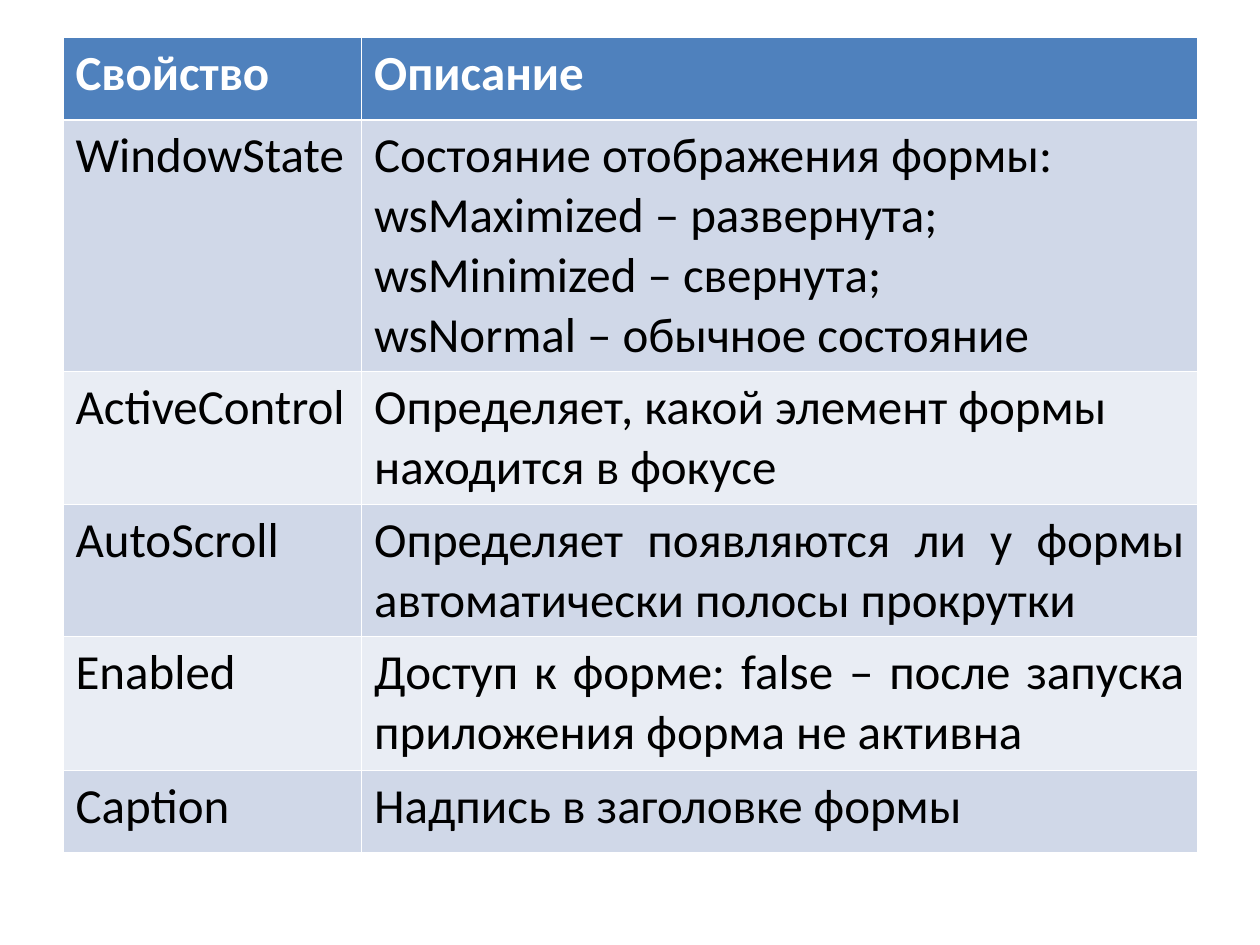
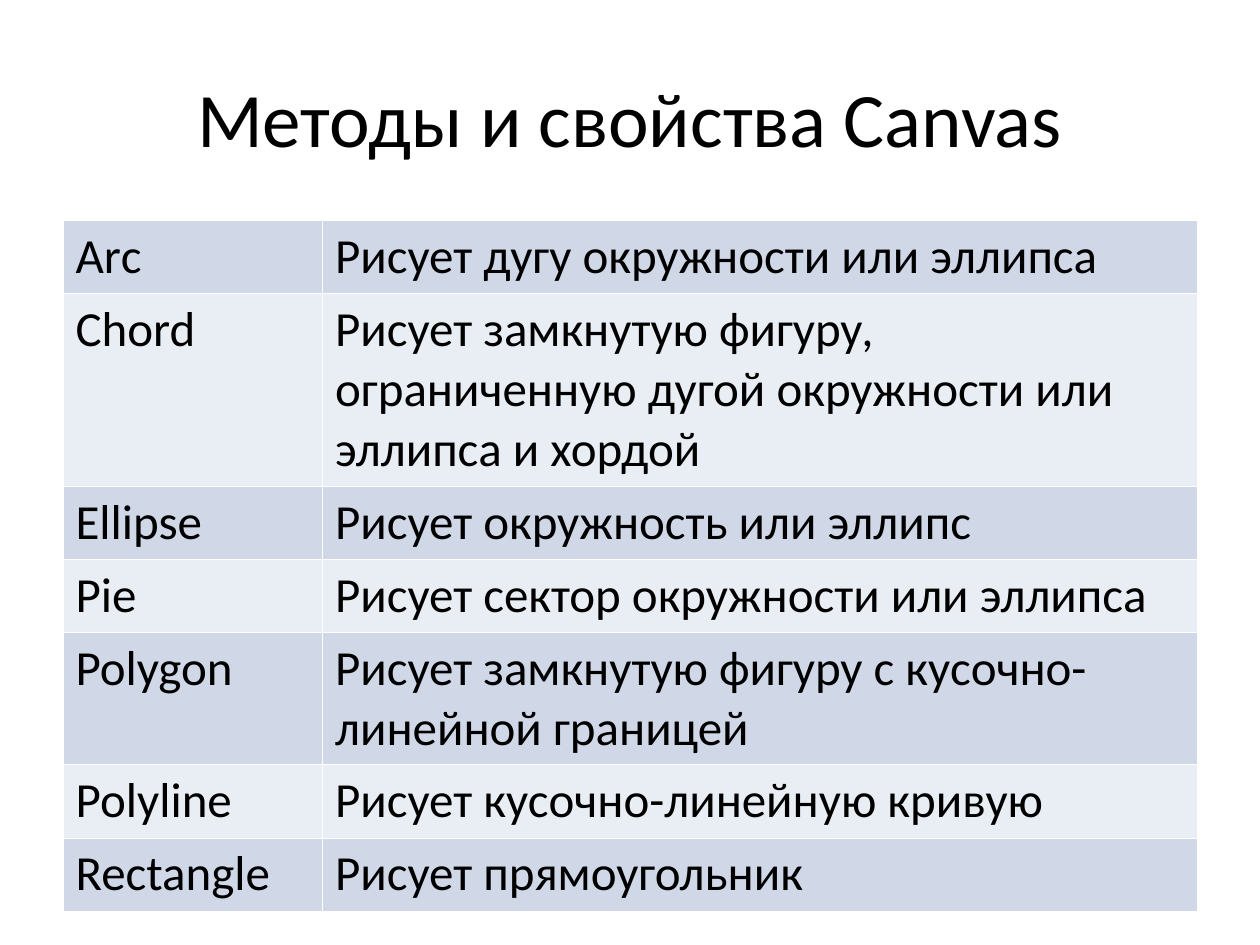
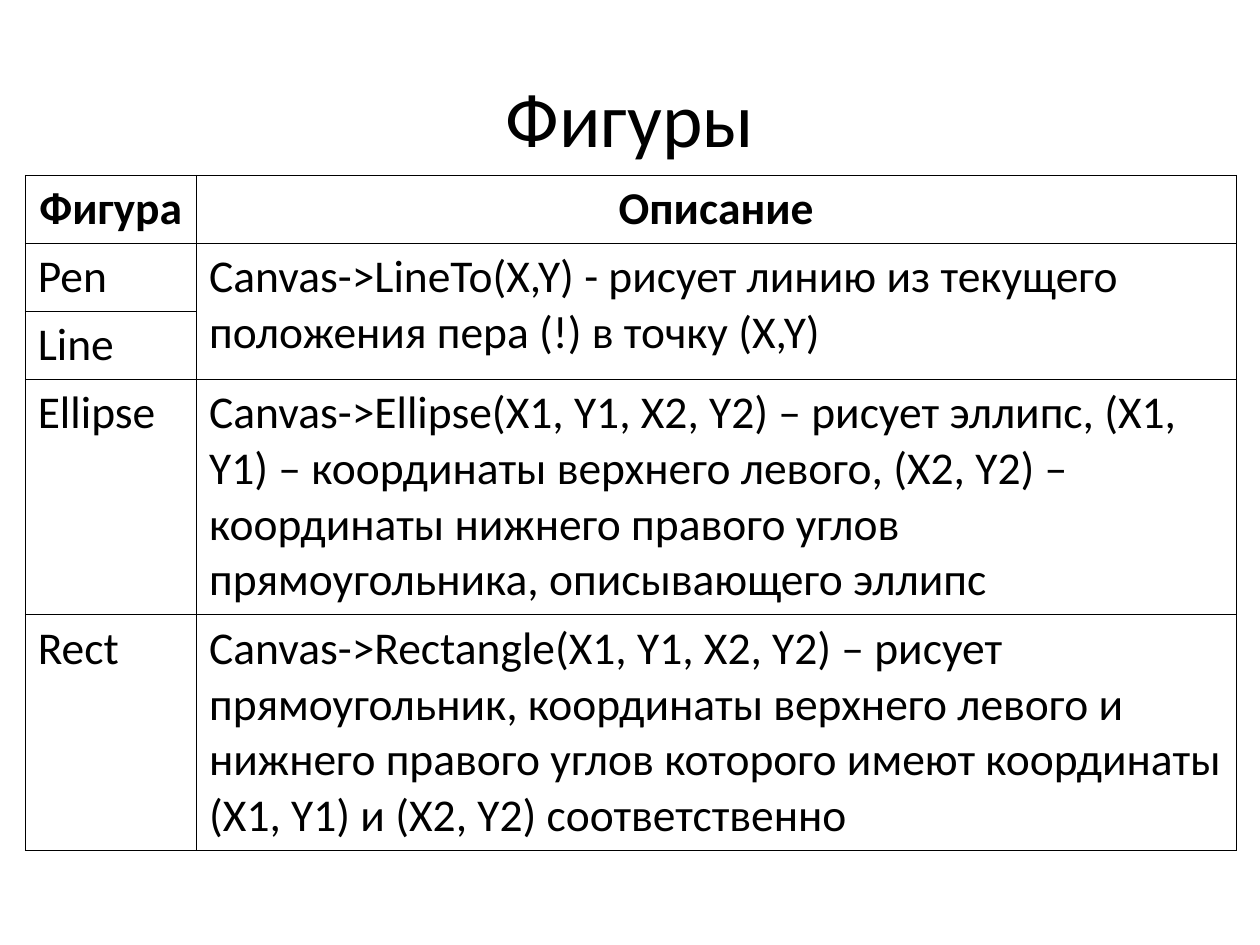
import pptx
import pptx.util
import pptx.dml.color
import pptx.enum.text
import pptx.oxml
import pptx.oxml.ns

Inches = pptx.util.Inches
Pt = pptx.util.Pt
ALIGN = pptx.enum.text.PP_ALIGN

FONT = "Calibri"
COLORS = {
    "text": "000000",
    "light": "FFFFFF",
    "header": "4F81BD",
    "band_dark": "D0D8E8",
    "band_light": "E9EDF4",
}
TITLE_BOX = (0.5, 0.3, 9, 1.25)
THIN, THICK = 0.45, 1.47

FORM_PROPERTIES = [
    (0.65, "Свойство", "Описание", ALIGN.LEFT),
    (2, "WindowState",
     "Cостояние отображения формы:\nwsMaximized – развернута;\n"
     "wsMinimized – свернута;\nwsNormal – обычное состояние", ALIGN.JUSTIFY),
    (1.05, "ActiveControl", "Определяет, какой элемент формы находится в фокусе", ALIGN.LEFT),
    (1.05, "AutoScroll",
     "Определяет появляются ли у формы автоматически полосы прокрутки", ALIGN.JUSTIFY),
    (1.06, "Enabled",
     "Доступ к форме: false – после запуска приложения форма не активна", ALIGN.JUSTIFY),
    (0.65, "Caption", "Надпись в заголовке формы", ALIGN.LEFT),
]
CANVAS_METHODS = [
    (0.58, "Аrс", "Рисует дугу окружности или эллипса", ALIGN.LEFT),
    (1.53, "Chord",
     "Рисует замкнутую фигуру, ограниченную дугой окружности или эллипса и хордой", ALIGN.LEFT),
    (0.58, "Ellipse", "Рисует окружность или эллипс", ALIGN.LEFT),
    (0.58, "Pie", "Рисует сектор окружности или эллипса", ALIGN.LEFT),
    (1.05, "Polygon", "Рисует замкнутую фигуру с кусочно-линейной границей", ALIGN.LEFT),
    (0.58, "Роlуlinе", "Рисует кусочно-линейнyю кривую", ALIGN.LEFT),
    (0.58, "Rectangle", "Рисует прямоугольник", ALIGN.LEFT),
]
FIGURES = [
    (0.54, "Фигура", "Описание", ALIGN.CENTER),
    (0.54, "Pen",
     "Canvas->LineTo(X,Y) - рисует линию из текущего положения пера (!) в точку (X,Y)", ALIGN.LEFT),
    (0.54, "Line", "", ALIGN.LEFT),
    (1.87, "Ellipse",
     "Canvas->Ellipse(X1, Y1, X2, Y2) – рисует эллипс, (X1, Y1) – координаты верхнего левого, "
     "(X2, Y2) – координаты нижнего правого углов прямоугольника, описывающего эллипс", ALIGN.LEFT),
    (1.87, "Rect",
     "Canvas->Rectangle(X1, Y1, X2, Y2) – рисует прямоугольник, координаты верхнего левого и "
     "нижнего правого углов которого имеют координаты (X1, Y1) и (X2, Y2) соответственно", ALIGN.LEFT),
]


def rgb(name):
    return pptx.dml.color.RGBColor.from_string(COLORS[name])


def set_text(tf, text, size, color="text", align=ALIGN.LEFT, bold=False):
    tf.text = text
    for p in tf.paragraphs:
        p.alignment = align
        for r in p.runs:
            r.font.name = FONT
            r.font.size = Pt(size)
            r.font.bold = bold
            r.font.color.rgb = rgb(color)


def set_borders(cell, color, top=THIN, bottom=THIN):
    tcPr = cell._tc.get_or_add_tcPr()
    for side, width in (("L", THIN), ("R", THIN), ("T", top), ("B", bottom)):
        tcPr.append(pptx.oxml.parse_xml(
            f'<a:ln{side} {pptx.oxml.ns.nsdecls("a")} w="{Pt(width)}"><a:solidFill>'
            f'<a:srgbClr val="{COLORS[color]}"/></a:solidFill></a:ln{side}>'))


def set_fill(cell, color):
    if color:
        cell.fill.solid()
        cell.fill.fore_color.rgb = rgb(color)
    else:
        cell.fill.background()


def add_title(slide, text, box=TITLE_BOX):
    sp = slide.shapes.add_textbox(*map(Inches, box))
    tf = sp.text_frame
    tf.word_wrap = True
    tf.vertical_anchor = pptx.enum.text.MSO_ANCHOR.MIDDLE
    set_text(tf, text, 44, align=ALIGN.CENTER)


def add_grid(slide, left, top, widths, rows, size, header=False, banded=True):
    height = sum(row[0] for row in rows)
    frame = slide.shapes.add_table(
        len(rows), len(widths), *map(Inches, (left, top, sum(widths), height)))
    table = frame.table
    table.first_row = header
    table.horz_banding = False
    for column, width in zip(table.columns, widths):
        column.width = Inches(width)
    for i, (row_height, name, description, align) in enumerate(rows):
        table.rows[i].height = Inches(row_height)
        is_header = header and i == 0
        fill = None
        if banded:
            body_index = i - header
            fill = "header" if is_header else ("band_dark", "band_light")[body_index % 2]
        color = "light" if is_header and banded else "text"
        name_align = ALIGN.CENTER if align == ALIGN.CENTER else ALIGN.LEFT
        for j, (text, text_align) in enumerate(((name, name_align), (description, align))):
            cell = table.cell(i, j)
            if text:
                set_text(cell.text_frame, text, size, color, text_align, is_header)
            set_borders(cell, "light" if banded else "text",
                        top=THICK if banded and header and i == 1 else THIN,
                        bottom=THICK if banded and is_header else THIN)
            set_fill(cell, fill)
    return table


def form_properties_slide(slide):
    add_grid(slide, 0.5, 0.3, (2.37, 6.63), FORM_PROPERTIES, 28, header=True)


def canvas_methods_slide(slide):
    add_title(slide, "Методы и свойства Canvas")
    add_grid(slide, 0.5, 1.75, (2.06, 6.94), CANVAS_METHODS, 28)


def figures_slide(slide):
    add_title(slide, "Фигуры")
    table = add_grid(slide, 0.2, 1.39, (1.36, 8.25), FIGURES, 26, header=True, banded=False)
    table.cell(1, 1).merge(table.cell(2, 1))


def main():
    prs = pptx.Presentation()
    prs.slide_width, prs.slide_height = Inches(10), Inches(7.5)
    for build in (form_properties_slide, canvas_methods_slide, figures_slide):
        build(prs.slides.add_slide(prs.slide_layouts[6]))
    prs.save("out.pptx")


if __name__ == "__main__":
    main()
